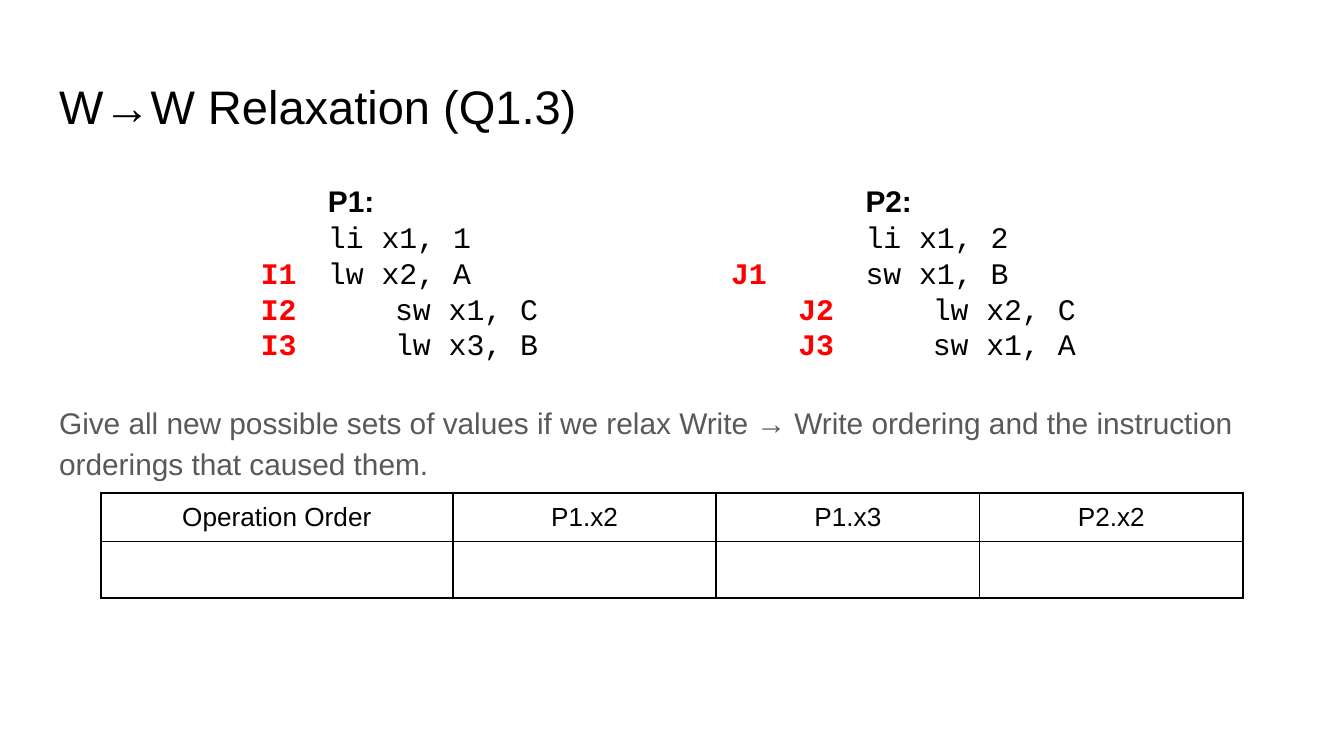
from dataclasses import dataclass

from lxml.etree import SubElement
from pptx import Presentation
from pptx.dml.color import RGBColor
from pptx.enum.text import MSO_ANCHOR, MSO_AUTO_SIZE, PP_ALIGN
from pptx.oxml.ns import qn
from pptx.util import Inches, Pt


@dataclass(frozen=True)
class Theme:
    sans: str = "Arial"
    mono: str = "Courier New"
    ink: RGBColor = RGBColor(0, 0, 0)
    label: RGBColor = RGBColor(0xFF, 0, 0)
    prompt: RGBColor = RGBColor(0x59, 0x59, 0x59)
    title_size: float = 25.2
    body_size: float = 16
    table_size: float = 14
    prompt_spacing: float = 1.15


THEME = Theme()


@dataclass(frozen=True)
class Span:
    text: str
    color: RGBColor = THEME.ink
    font: str = THEME.mono
    bold: bool = False


@dataclass(frozen=True)
class Line:
    spans: list[Span]
    margin: float = 0
    indent: float = 0
    spacing: float = 1.0
    before: float = 0


def label(text: str) -> Span:
    return Span(text, THEME.label, bold=True)


def instructions(first: str, left: str, second: str, right: str) -> list[Span]:
    """One labelled instruction of each processor, side by side."""
    return [label(first), Span(f"\t{left}\t\t"), label(second), Span(f"\t{right}")]


LINES = [
    Line([Span("P1: \t\t\t\tP2:", font=THEME.sans, bold=True)], margin=2),
    Line([Span("li x1, 1 \t\t\tli x1, 2")], margin=2),
    Line(instructions("I1", "lw x2, A", "J1", "sw x1, B"), margin=1, indent=0.5),
    Line([*instructions("I2", "sw x1, C", "J2", "lw x2, C"), Span("\n"),
          *instructions("I3", "lw x3, B", "J3", "sw x1, A")], margin=1.5),
    Line([Span("Give all new possible sets of values if we relax Write → Write ordering "
               "and the instruction orderings that caused them.", THEME.prompt, THEME.sans)],
         spacing=THEME.prompt_spacing, before=20),
]
HEADERS = ["Operation Order", "P1.x2", "P1.x3", "P2.x2"]
COLUMN_WIDTHS = [2.62, 1.96, 1.96, 1.96]
ROW_HEIGHTS = [0.36, 0.42]


def style(font, size: float, color: RGBColor, name: str = THEME.sans, bold: bool = False) -> None:
    font.size, font.name, font.bold = Pt(size), name, bold
    font.color.rgb = color


def place(box, left: float, top: float, width: float, height: float) -> None:
    box.left, box.top, box.width, box.height = map(Inches, (left, top, width, height))
    frame = box.text_frame
    frame.margin_left = frame.margin_right = Inches(0.1)
    frame.margin_top = frame.margin_bottom = Inches(0.1)
    frame.vertical_anchor = MSO_ANCHOR.TOP
    frame.auto_size = MSO_AUTO_SIZE.NONE
    frame.word_wrap = True


def write_line(para, line: Line) -> None:
    para.line_spacing = line.spacing
    para.space_before, para.space_after = Pt(line.before), Pt(0)
    properties = para._p.get_or_add_pPr()
    properties.set("marL", str(Inches(line.margin)))
    properties.set("indent", str(Inches(line.indent)))
    properties.set("defTabSz", str(Inches(1)))
    SubElement(properties, qn("a:buNone"))
    for span in line.spans:
        if span.text == "\n":
            para.add_line_break()
            continue
        run = para.add_run()
        run.text = span.text
        style(run.font, THEME.body_size, span.color, span.font, span.bold)


def add_borders(cell) -> None:
    properties = cell._tc.get_or_add_tcPr()
    for position, side in enumerate(("lnL", "lnR", "lnT", "lnB")):
        border = properties.makeelement(qn(f"a:{side}"), {"w": str(Pt(1))})
        properties.insert(position, border)
        fill = SubElement(border, qn("a:solidFill"))
        SubElement(fill, qn("a:srgbClr"), val=str(THEME.ink))


def add_answer_table(slide) -> None:
    frame = slide.shapes.add_table(
        len(ROW_HEIGHTS), len(HEADERS), Inches(0.75), Inches(3.67),
        Inches(sum(COLUMN_WIDTHS)), Inches(sum(ROW_HEIGHTS)))
    table = frame.table
    table.first_row = table.horz_banding = False
    for column, width in zip(table.columns, COLUMN_WIDTHS):
        column.width = Inches(width)
    for row, height in zip(table.rows, ROW_HEIGHTS):
        row.height = Inches(height)
    for cell, header in zip(table.rows[0].cells, HEADERS):
        cell.text_frame.text = header
    for cell in table.iter_cells():
        cell.margin_left = cell.margin_right = Inches(0.07)
        cell.margin_top = cell.margin_bottom = Inches(0.07)
        cell.fill.background()
        add_borders(cell)
        para = cell.text_frame.paragraphs[0]
        para.alignment = PP_ALIGN.CENTER
        style(para.font, THEME.table_size, THEME.ink)
        for run in para.runs:
            style(run.font, THEME.table_size, THEME.ink)


def main() -> None:
    deck = Presentation()
    deck.slide_width = Inches(10)
    deck.slide_height = deck.slide_width * 9 // 16
    slide = deck.slides.add_slide(deck.slide_layouts[1])

    title, body = slide.placeholders
    place(title, 0.34, 0.48, 9.32, 0.63)
    title.text_frame.text = "W→W Relaxation (Q1.3)"
    para = title.text_frame.paragraphs[0]
    para.alignment = PP_ALIGN.LEFT
    style(para.runs[0].font, THEME.title_size, THEME.ink)

    place(body, 0.34, 1.26, 9.32, 3.74)
    frame = body.text_frame
    for index, line in enumerate(LINES):
        write_line(frame.add_paragraph() if index else frame.paragraphs[0], line)

    add_answer_table(slide)
    deck.save("out.pptx")


if __name__ == "__main__":
    main()
